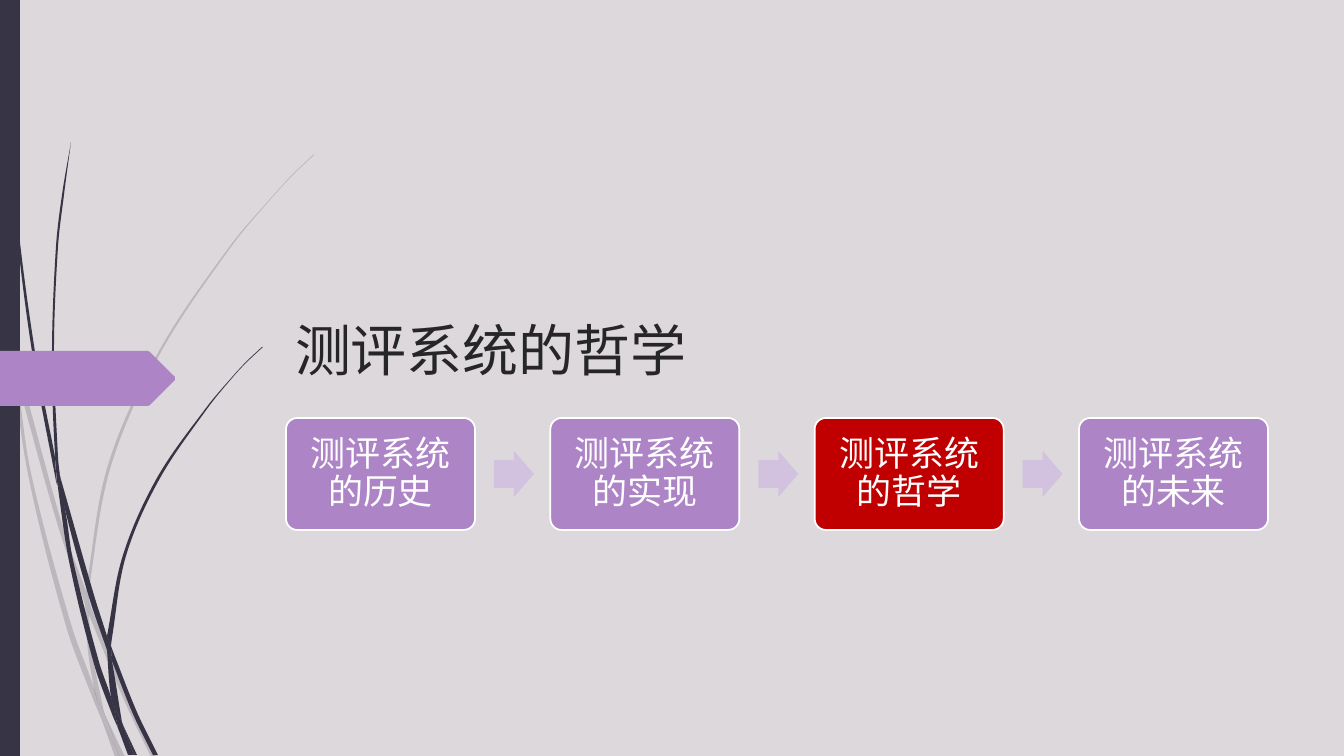
"""Build a section slide whose four-step agenda highlights the current step."""
import math
import pptx
import pptx.util
import pptx.dml.color
import pptx.enum.shapes
import pptx.enum.text
import pptx.oxml.ns
import lxml.etree

TITLE = "测评系统的哲学"
STEPS = ["测评系统的历史", "测评系统的实现", "测评系统的哲学", "测评系统的未来"]
FONT = "TeX Gyre Adventor"
COLORS = {"background": "DCD8DC", "dark": "373545", "accent": "AD84C6", "current": "C00000",
          "arrow": "D3C2DF", "title": "262626", "white": "FFFFFF"}

PALE_BLADES = [
    ([(0, 301), (10, 347), (11, 353)], [(11, 353), (9, 325), (0, 284)]),
    ([(14, 348), (62, 524), (86, 591)], [(85, 604), (58, 526), (17, 379)]),
    ([(89, 601), (93, 612), (128, 698), (156, 757)], [(151, 757), (124, 700), (89, 615)]),
    ([(106, 717), (125, 757)], [(120, 757), (106, 717)]),
    ([(11, 353), (17, 379), (31, 473), (71, 624), (94, 688), (100, 713), (102, 720)],
     [(102, 720), (93, 699), (66, 626), (28, 474), (11, 353)]),
    ([(85, 604), (88, 651), (94, 688), (97, 698), (106, 717)],
     [(106, 717), (104, 712), (92, 651), (89, 615), (89, 613), (85, 604)]),
    ([(89, 601), (89, 589), (111, 466), (161, 352), (231, 247), (270, 200), (292, 176), (314, 155)],
     [(314, 154), (291, 176), (270, 199), (230, 246), (159, 351), (108, 465), (86, 589), (86, 591)]),
    ([(102, 720), (115, 757)], [(120, 757), (102, 720)]),
    ([(89, 601), (86, 591)], [(85, 604), (89, 613), (89, 615)]),
    ([(94, 688), (100, 713), (102, 720), (120, 757)], [(120, 757), (106, 717), (97, 698), (94, 688)]),
]
DARK_BLADES = [
    ([(3, 0), (4, 48), (7, 111), (17, 235), (33, 358), (56, 481), (57, 485)],
     [(55, 461), (55, 457), (36, 358), (19, 234), (8, 110), (5, 48), (4, 0)]),
    ([(60, 476), (94, 595), (107, 636), (107, 638)], [(107, 650), (89, 597), (65, 509), (60, 476)]),
    ([(111, 646), (114, 654), (137, 712), (158, 755)], [(153, 755), (133, 714), (112, 661)]),
    ([(57, 481), (65, 509), (73, 560), (99, 662), (111, 697), (117, 723), (118, 728)],
     [(118, 728), (112, 714), (94, 664), (69, 561), (57, 481)]),
    ([(60, 476), (58, 457), (54, 352), (58, 247), (64, 195), (71, 142)],
     [(71, 142), (62, 195), (56, 247), (52, 352), (55, 453), (60, 476)]),
    ([(123, 725), (137, 755)], [(134, 755), (123, 725)]),
    ([(55, 453), (60, 476), (65, 509)], [(57, 481), (55, 457)]),
    ([(111, 646), (112, 638), (126, 556), (159, 480), (207, 409), (233, 377), (247, 362), (263, 347)],
     [(262, 347), (247, 361), (233, 376), (206, 408), (157, 478), (123, 555), (107, 636)]),
    ([(118, 728), (132, 755)], [(128, 755), (118, 728)]),
    ([(107, 650), (111, 697), (117, 712), (123, 725)],
     [(123, 725), (122, 722), (112, 661), (110, 656), (107, 650)]),
    ([(107, 636), (111, 646), (112, 661)], [(110, 656), (107, 650), (107, 638)]),
    ([(111, 697), (117, 723), (118, 728), (131, 755)], [(134, 755), (123, 725), (117, 712), (111, 697)]),
]
TAG = [(0, 351), (148, 351), (150, 352), (175, 377), (175, 380), (150, 405), (148, 406), (0, 406)]

PX = 914400 / 100.8
ROW_LEFT, ROW_RIGHT, CARD_TOP, CARD_WIDTH, CARD_HEIGHT = 286, 1268, 418, 189, 112
PITCH = (ROW_RIGHT - ROW_LEFT - CARD_WIDTH) / (len(STEPS) - 1)
LABEL_INSET = 3
ARROW_OFFSET, ARROW_WIDTH, ARROW_HEIGHT = 208, 40, 46


def px(length):
    return round(length * PX)


def rgb(name):
    return pptx.dml.color.RGBColor.from_string(COLORS[name])


def paint(shape, color, alpha=None, outline=None):
    shape.shadow.inherit = False
    shape.fill.solid()
    shape.fill.fore_color.rgb = rgb(color)
    if alpha:
        tint = shape.fill._xPr.find(".//" + pptx.oxml.ns.qn("a:srgbClr"))
        lxml.etree.SubElement(tint, pptx.oxml.ns.qn("a:alpha")).set("val", str(alpha * 1000))
    if outline:
        shape.line.color.rgb = rgb(outline)
        shape.line.width = pptx.util.Pt(1.25)
    else:
        shape.line.fill.background()


def add_preset(kind, box, color, adjustments=(), outline=None):
    shape = slide.shapes.add_shape(kind, *map(px, box))
    for index, value in enumerate(adjustments):
        shape.adjustments[index] = value
    paint(shape, color, outline=outline)


def add_outline(points, color, alpha=None):
    start, *rest = [(px(x), px(y)) for x, y in points]
    builder = slide.shapes.build_freeform(*start)
    builder.add_line_segments(rest, close=True)
    shape = builder.convert_to_shape()
    paint(shape, color, alpha)
    return shape


def handle(edge, index, toward):
    """Return the curve handle of a knot, a third of the way to its neighbour."""
    before, after = edge[max(index - 1, 0)], edge[min(index + 1, len(edge) - 1)]
    dx, dy = after[0] - before[0], after[1] - before[1]
    reach = math.dist(edge[index], edge[index + toward]) / 3 / math.hypot(dx, dy) * toward
    return edge[index][0] + dx * reach, edge[index][1] + dy * reach


def add_blade(edges, color, alpha=None):
    """Draw a blade of grass, bending the straight segments of both edges into curves."""
    shape = add_outline(edges[0] + edges[1], color, alpha)
    segments = iter(list(shape._element.iter(pptx.oxml.ns.qn("a:lnTo"))))
    for number, edge in enumerate(edges):
        if number:
            next(segments)
        for index in range(len(edge) - 1):
            segment = next(segments)
            segment_curve = lxml.etree.Element(pptx.oxml.ns.qn("a:cubicBezTo"))
            for x, y in (handle(edge, index, 1), handle(edge, index + 1, -1)):
                knot = lxml.etree.SubElement(segment_curve, pptx.oxml.ns.qn("a:pt"))
                knot.set("x", str(px(x) - shape.left))
                knot.set("y", str(px(y) - shape.top))
            segment_curve.append(segment[0])
            segment.getparent().replace(segment, segment_curve)


def write(shape, text, size, color, align, anchor, insets, spacing=1.0):
    frame = shape.text_frame
    frame.word_wrap = True
    frame.auto_size = pptx.enum.text.MSO_AUTO_SIZE.NONE
    frame.vertical_anchor = anchor
    frame.margin_left = frame.margin_right = px(insets[0])
    frame.margin_top = frame.margin_bottom = px(insets[1])
    paragraph = frame.paragraphs[0]
    paragraph.alignment = align
    paragraph.line_spacing = spacing
    run = paragraph.add_run()
    run.text = text
    run.font.name = FONT
    run.font.size = pptx.util.Pt(size)
    run.font.color.rgb = rgb(color)


SHAPES = pptx.enum.shapes.MSO_SHAPE
ALIGN = pptx.enum.text.PP_ALIGN
ANCHOR = pptx.enum.text.MSO_ANCHOR

deck = pptx.Presentation()
deck.slide_width, deck.slide_height = px(1344), px(756)
slide = deck.slides.add_slide(deck.slide_layouts[5])
slide.background.fill.solid()
slide.background.fill.fore_color.rgb = rgb("background")

for blade in PALE_BLADES:
    add_blade(blade, "dark", alpha=20)
for blade in DARK_BLADES:
    add_blade(blade, "dark")
add_preset(SHAPES.RECTANGLE, (0, 0, 20, 756), "dark")
add_outline(TAG, "accent")

heading = slide.shapes.title
heading.left, heading.top, heading.width, heading.height = map(px, (285, 227, 983, 161))
write(heading, TITLE, 40, "title", ALIGN.LEFT, ANCHOR.BOTTOM, (10, 5))

for index, step in enumerate(STEPS):
    left = ROW_LEFT + index * PITCH
    add_preset(SHAPES.ROUNDED_RECTANGLE, (left, CARD_TOP, CARD_WIDTH, CARD_HEIGHT),
               "current" if step == TITLE else "accent", [0.1], outline="white")
    label = slide.shapes.add_textbox(*map(px, (left + LABEL_INSET, CARD_TOP + LABEL_INSET,
                                               CARD_WIDTH - 2 * LABEL_INSET,
                                               CARD_HEIGHT - 2 * LABEL_INSET)))
    write(label, step, 25, "white", ALIGN.CENTER, ANCHOR.MIDDLE, (10, 10), spacing=0.9)
    if index < len(STEPS) - 1:
        arrow_top = CARD_TOP + (CARD_HEIGHT - ARROW_HEIGHT) / 2
        add_preset(SHAPES.RIGHT_ARROW, (left + ARROW_OFFSET, arrow_top, ARROW_WIDTH, ARROW_HEIGHT),
                   "arrow", [0.6, 0.5])

deck.save("out.pptx")
